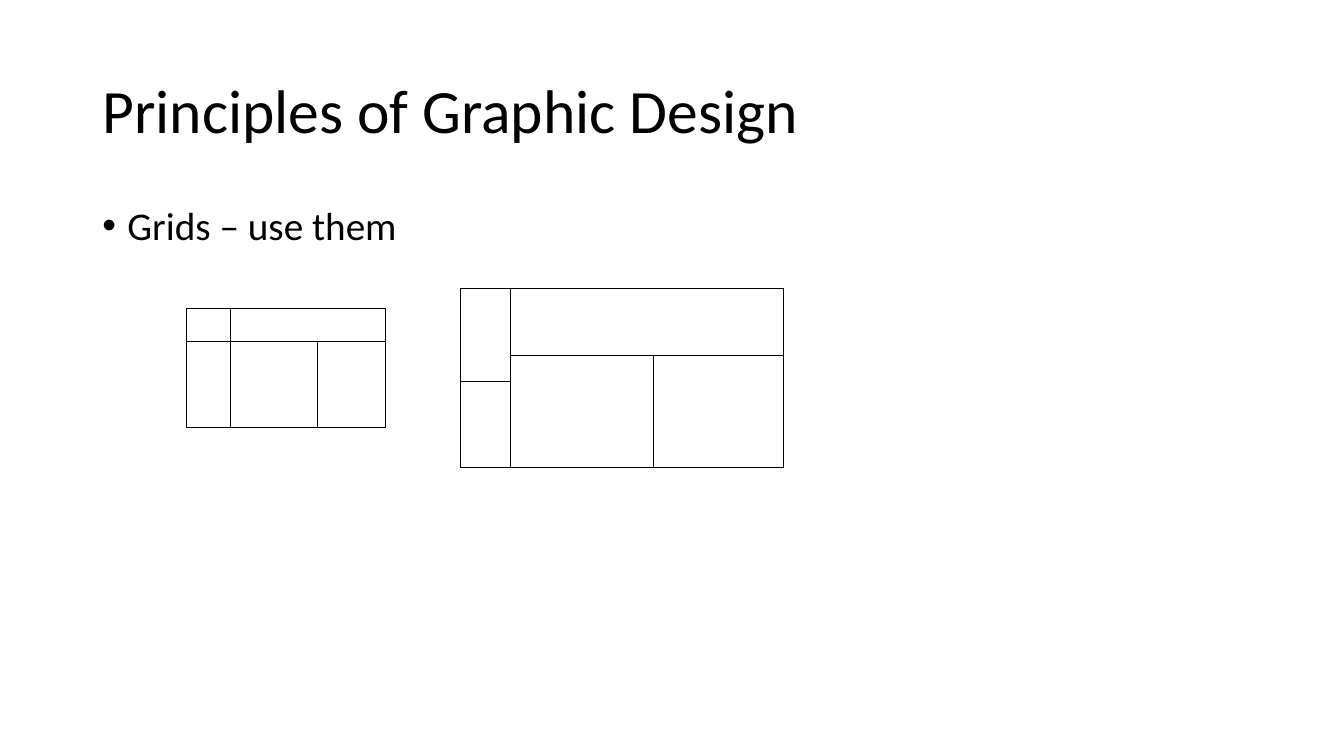
from lxml.etree import SubElement
from pptx import Presentation
from pptx.dml.color import RGBColor as RGB
from pptx.enum.shapes import MSO_CONNECTOR as CONN, MSO_SHAPE as SHAPE
from pptx.enum.text import MSO_ANCHOR as ANCHOR, MSO_AUTO_SIZE as AUTO, PP_ALIGN as ALIGN
from pptx.oxml.ns import qn
from pptx.util import Pt

COLORS = {"ink": "000000", "paper": "FFFFFF"}
TITLE_BOX = (66, 28.8, 828, 104.4)
BODY_BOX = (66, 144, 828, 342.7)
SMALL_GRID = (133, 220.2, 142.2, 85.2)
LARGE_GRID = (329, 206.2, 230.6, 127.6)
SMALL_LINES = [
    (31.6, 0, 31.6, 85.2),
    (93.6, 23.8, 93.6, 85.2),
    (0, 23.8, 142.2, 23.8),
]
LARGE_LINES = [
    (35.4, 0, 35.4, 127.6),
    (35.4, 47.4, 230.6, 47.4),
    (137.6, 47.4, 137.6, 127.6),
    (0, 66.2, 35.4, 66.2),
]


def set_all(obj, values):
    for name, value in values.items():
        setattr(obj, name, value)


def write(sp, text, size, anchor):
    tf = sp.text_frame
    set_all(tf, {"word_wrap": True, "auto_size": AUTO.NONE, "vertical_anchor": anchor})
    p = tf.paragraphs[0]
    set_all(p, {"alignment": ALIGN.LEFT, "line_spacing": 0.9})
    r = p.add_run()
    r.text = text
    set_all(r.font, {"name": "Calibri", "size": Pt(size)})
    r.font.color.rgb = RGB.from_string(COLORS["ink"])
    return p


def add_title(s, box, text):
    sp = s.shapes.title
    set_all(sp, dict(zip(("left", "top", "width", "height"), map(Pt, box))))
    write(sp, text, 44, ANCHOR.MIDDLE)


def add_bullet(s, box, text):
    sp = s.shapes.add_textbox(*map(Pt, box))
    p = write(sp, text, 28, ANCHOR.TOP)
    p.space_before = Pt(10)
    pPr = p._p.get_or_add_pPr()
    pPr.set("marL", str(Pt(18)))
    pPr.set("indent", str(Pt(-18)))
    SubElement(pPr, qn("a:buFont"), typeface="Arial")
    SubElement(pPr, qn("a:buChar"), char="•")


def outline(sp):
    sp.line.color.rgb = RGB.from_string(COLORS["ink"])
    sp.line.width = Pt(0.75)


def add_grid(s, box, lines):
    left, top = box[:2]
    grp = s.shapes.add_group_shape()
    frame = grp.shapes.add_shape(SHAPE.RECTANGLE, *map(Pt, box))
    frame.shadow.inherit = False
    frame.fill.solid()
    frame.fill.fore_color.rgb = RGB.from_string(COLORS["paper"])
    outline(frame)
    for x1, y1, x2, y2 in lines:
        ends = (left + x1, top + y1, left + x2, top + y2)
        line = grp.shapes.add_connector(CONN.STRAIGHT, *map(Pt, ends))
        outline(line)
        SubElement(line._element.spPr, qn("a:effectLst"))


def main():
    prs = Presentation()
    set_all(prs, {"slide_width": Pt(960), "slide_height": Pt(540)})
    s = prs.slides.add_slide(prs.slide_layouts[5])
    add_title(s, TITLE_BOX, "Principles of Graphic Design")
    add_bullet(s, BODY_BOX, "Grids – use them")
    add_grid(s, SMALL_GRID, SMALL_LINES)
    add_grid(s, LARGE_GRID, LARGE_LINES)
    prs.save("out.pptx")


if __name__ == "__main__":
    main()
